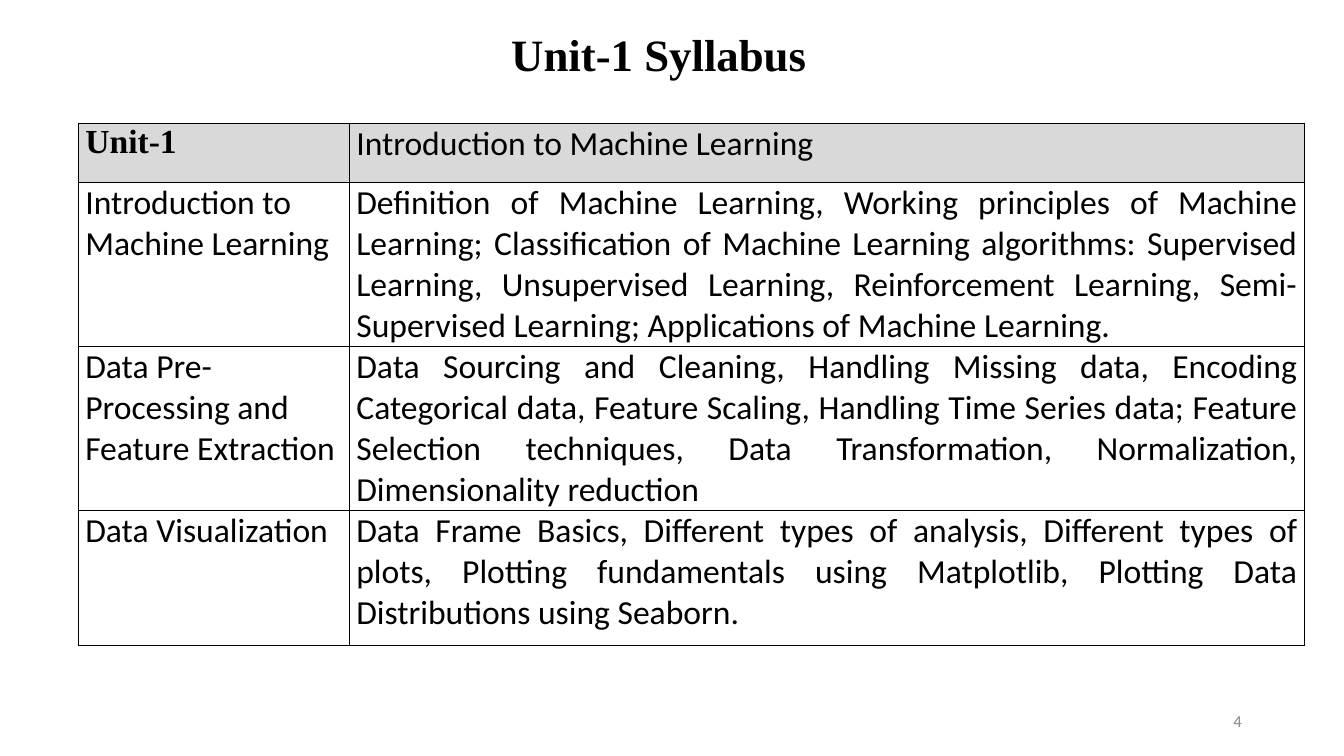
from dataclasses import dataclass

from lxml.etree import SubElement
from pptx import Presentation
from pptx.dml.color import RGBColor as RGB
from pptx.enum.text import MSO_ANCHOR as Anchor, PP_ALIGN as Align
from pptx.oxml.ns import qn
from pptx.util import Cm, Pt

# Content
TITLE = "Unit-1 Syllabus"
PAGE_NUMBER = "4"
SYLLABUS = [
    ("Unit-1", "Introduction to Machine Learning"),
    ("Introduction to Machine Learning",
     "Definition of Machine Learning, Working principles of Machine Learning; "
     "Classification of Machine Learning algorithms: Supervised Learning, "
     "Unsupervised Learning, Reinforcement Learning, Semi-Supervised Learning; "
     "Applications of Machine Learning."),
    ("Data Pre-Processing and Feature Extraction",
     "Data Sourcing and Cleaning, Handling Missing data, Encoding Categorical "
     "data, Feature Scaling, Handling Time Series data; Feature Selection "
     "techniques, Data Transformation, Normalization, Dimensionality reduction"),
    ("Data Visualization",
     "Data Frame Basics, Different types of analysis, Different types of plots, "
     "Plotting fundamentals using Matplotlib, Plotting Data Distributions using "
     "Seaborn."),
]
COLUMN_WIDTHS = [Cm(6.83), Cm(24.08)]
ROW_HEIGHTS = [Cm(1.47), Cm(4.14), Cm(4.14), Cm(3.4)]


@dataclass(frozen=True)
class Theme:
    heading_font: str = "Times New Roman"
    body_font: str = "Calibri"
    title_size: int = 32
    table_size: int = 24
    number_size: int = 12
    ink: str = "000000"
    muted: str = "888888"
    header_fill: str = "D9D9D9"
    paper: str = "FFFFFF"
    border_width: int = Pt(1)


THEME = Theme()


def write(frame, text, font, size, color, align, bold=False):
    frame.text = text
    paragraph = frame.paragraphs[0]
    paragraph.alignment = align
    for run in paragraph.runs:
        run.font.name = font
        run.font.size = Pt(size)
        run.font.bold = bold
        run.font.color.rgb = RGB.from_string(color)
    return paragraph


def draw_borders(cell):
    properties = cell._tc.get_or_add_tcPr()
    for position, side in enumerate(("lnL", "lnR", "lnT", "lnB")):
        border = properties.makeelement(qn(f"a:{side}"), {"w": str(THEME.border_width)})
        properties.insert(position, border)
        fill = SubElement(border, qn("a:solidFill"))
        SubElement(fill, qn("a:srgbClr"), val=THEME.ink)


def add_title(slide):
    title = slide.shapes.title
    title.left, title.top, title.width, title.height = Cm(2), Cm(0.25), Cm(29.21), Cm(2.39)
    title.text_frame.vertical_anchor = Anchor.MIDDLE
    heading = write(title.text_frame, TITLE, THEME.heading_font, THEME.title_size,
                    THEME.ink, Align.CENTER, bold=True)
    heading.line_spacing = 0.9


def add_syllabus(slide):
    table = slide.shapes.add_table(
        len(SYLLABUS), len(COLUMN_WIDTHS), Cm(1.97), Cm(3.12),
        sum(COLUMN_WIDTHS), sum(ROW_HEIGHTS)).table
    table.first_row = table.horz_banding = False
    for column, width in zip(table.columns, COLUMN_WIDTHS):
        column.width = width
    for row, height in zip(table.rows, ROW_HEIGHTS):
        row.height = height

    for r, topic in enumerate(SYLLABUS):
        for c, text in enumerate(topic):
            cell = table.cell(r, c)
            is_header, is_unit = r == 0, r == c == 0
            cell.margin_left = cell.margin_right = Cm(0.18)
            cell.margin_top = cell.margin_bottom = 0
            cell.fill.solid()
            cell.fill.fore_color.rgb = RGB.from_string(
                THEME.header_fill if is_header else THEME.paper)
            draw_borders(cell)
            write(cell.text_frame, text,
                  THEME.heading_font if is_unit else THEME.body_font,
                  THEME.table_size, THEME.ink,
                  Align.JUSTIFY if is_header or c == 1 else Align.LEFT,
                  bold=is_unit)


def add_page_number(slide):
    frame = slide.shapes.add_textbox(Cm(23.93), Cm(17.65), Cm(7.62), Cm(1.02)).text_frame
    frame.word_wrap = True
    frame.vertical_anchor = Anchor.MIDDLE
    write(frame, PAGE_NUMBER, THEME.body_font, THEME.number_size, THEME.muted, Align.RIGHT)


def main():
    deck = Presentation()
    deck.slide_width, deck.slide_height = Cm(33.87), Cm(19.05)
    slide = deck.slides.add_slide(deck.slide_layouts[5])  # Title Only
    add_title(slide)
    add_syllabus(slide)
    add_page_number(slide)
    deck.save("out.pptx")


if __name__ == "__main__":
    main()
